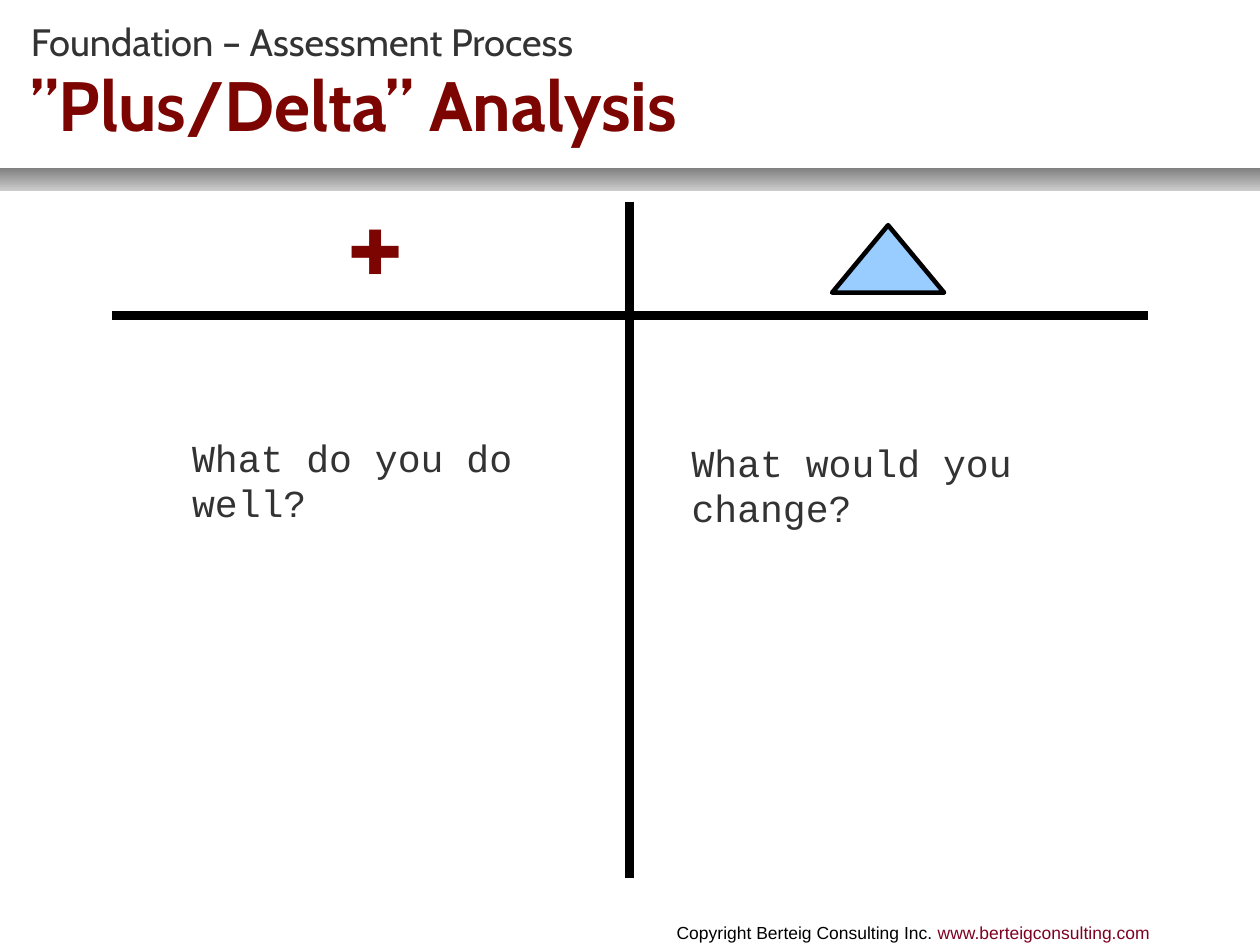
from lxml import etree
from pptx import Presentation
from pptx.dml.color import RGBColor
from pptx.enum.shapes import MSO_CONNECTOR, MSO_SHAPE
from pptx.enum.text import MSO_ANCHOR
from pptx.oxml.ns import qn
from pptx.util import Inches, Pt

BLACK = RGBColor(0x00, 0x00, 0x00)
CHARCOAL = RGBColor(0x33, 0x33, 0x33)
MAROON = RGBColor(0x7C, 0x04, 0x01)
LINK_RED = RGBColor(0x7E, 0x00, 0x21)
SKY = RGBColor(0x99, 0xCC, 0xFF)
BAR_DARK = RGBColor(0x80, 0x80, 0x80)
BAR_LIGHT = RGBColor(0xCC, 0xCC, 0xCC)

CM_PER_INCH = 2.54
WIDTH, HEIGHT = 28 / CM_PER_INCH, 21 / CM_PER_INCH


def add_run(p, text, font="Cabin", size=24, color=CHARCOAL, bold=False):
    r = p.add_run()
    r.text = text
    r.font.name = font
    r.font.size = Pt(size)
    r.font.color.rgb = color
    r.font.bold = bold


def add_text(slide, box, text, anchor=MSO_ANCHOR.MIDDLE, spacing=0.99, **fmt):
    tf = slide.shapes.add_textbox(*map(Inches, box)).text_frame
    tf.word_wrap = True
    tf.vertical_anchor = anchor
    tf.margin_left = tf.margin_top = tf.margin_right = tf.margin_bottom = 0
    p = tf.paragraphs[0]
    p.line_spacing = spacing
    add_run(p, text, **fmt)
    return p


def add_rule(slide, x1, y1, x2, y2):
    line = slide.shapes.add_connector(
        MSO_CONNECTOR.STRAIGHT, *map(Inches, (x1, y1, x2, y2)))
    line.line.color.rgb = BLACK
    line.line.width = Pt(5.75)
    etree.SubElement(line._element.spPr, qn("a:effectLst"))


def add_header(slide, left, top, width, height):
    bar = slide.shapes.add_shape(
        MSO_SHAPE.ROUNDED_RECTANGLE, Inches(left), Inches(top + height - 0.2),
        Inches(width), Inches(0.2))
    bar.adjustments[0] = 0.01
    bar.shadow.inherit = False
    bar.line.fill.background()
    bar.fill.gradient()
    bar.fill.gradient_angle = 270
    for stop, color in zip(bar.fill.gradient_stops, (BAR_DARK, BAR_LIGHT)):
        stop.color.rgb = color

    p = add_text(slide, (left + 0.27, top - 0.03, width - 0.27, 1.53),
                 "Foundation – Assessment Process")
    p.add_line_break()
    add_run(p, "”Plus/Delta” Analysis", size=44, color=MAROON, bold=True)


def add_plus_delta(slide, left, top, width, height):
    middle = left + width / 2
    add_rule(slide, middle, top, middle, top + height)
    add_rule(slide, left, top + 0.99, left + width, top + 0.99)

    add_text(slide, (left + 2.05, top - 0.4, 0.79, 1.5), "+",
             size=80, color=MAROON, bold=True)
    delta = slide.shapes.add_shape(
        MSO_SHAPE.ISOSCELES_TRIANGLE, Inches(middle + 1.77), Inches(top + 0.2),
        Inches(0.98), Inches(0.59))
    delta.shadow.inherit = False
    delta.fill.solid()
    delta.fill.fore_color.rgb = SKY
    delta.line.color.rgb = BLACK
    delta.line.width = Pt(2.89)

    add_text(slide, (left + 0.7, top + 1.99, 3.31, 0.9),
             "What do you do well?", font="Courier New")
    add_text(slide, (middle + 0.54, top + 2.26, 4.18, 0.45),
             "What would you change?", font="Courier New")


def add_footer(slide, left, top, width, height):
    p = add_text(slide, (left, top, width, height),
                 "Copyright Berteig Consulting Inc. ", anchor=MSO_ANCHOR.TOP,
                 spacing=0.93, font="Arial", size=11, color=BLACK)
    add_run(p, "www.berteigconsulting.com", font="Arial", size=11, color=LINK_RED)


def main():
    prs = Presentation()
    prs.slide_width = Inches(WIDTH)
    prs.slide_height = Inches(HEIGHT)
    slide = prs.slides.add_slide(prs.slide_layouts[6])
    add_header(slide, 0, 0, WIDTH, 1.67)
    add_plus_delta(slide, 0.98, 1.77, 9.06, 5.91)
    add_footer(slide, 5.92, 8.08, 5.1, 0.17)
    prs.save("out.pptx")


if __name__ == "__main__":
    main()
